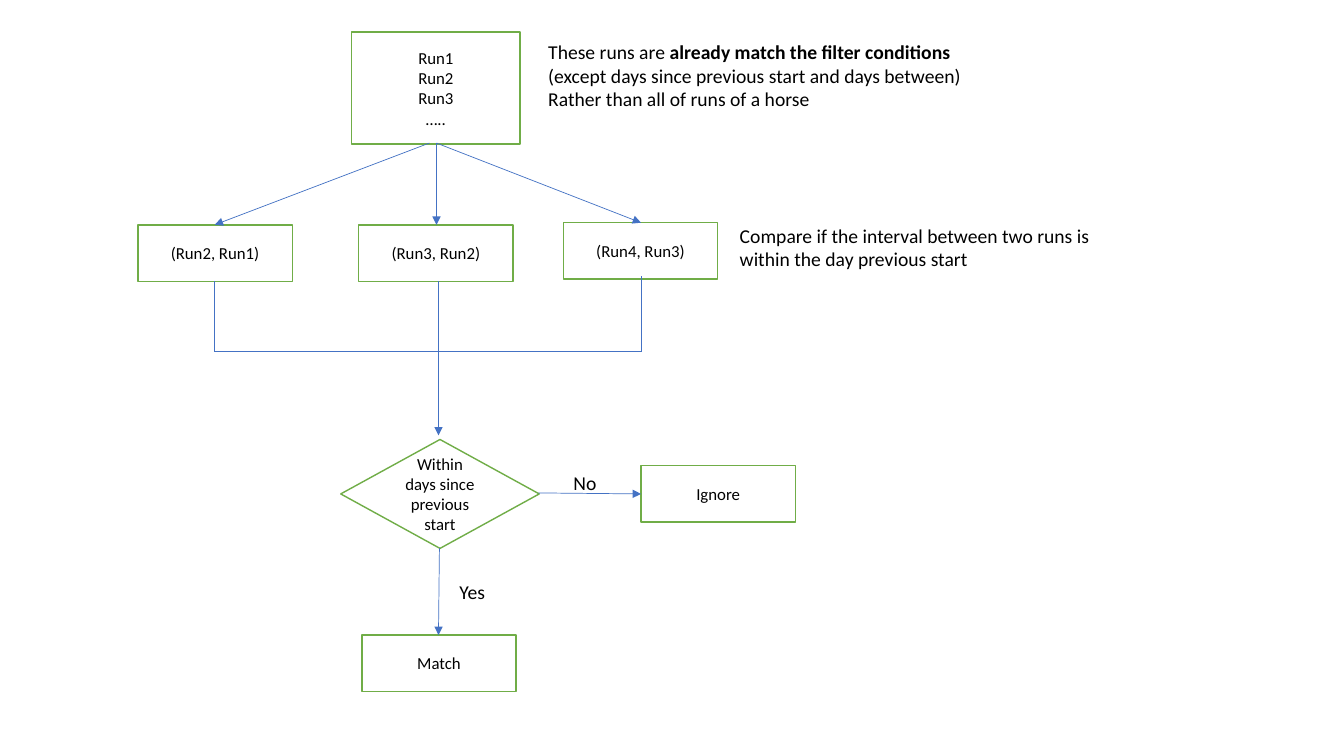
from lxml.etree import SubElement
from pptx import Presentation
from pptx.dml.color import RGBColor
from pptx.enum.shapes import MSO_CONNECTOR as Connector, MSO_SHAPE as Shape
from pptx.enum.text import MSO_ANCHOR as Anchor, PP_ALIGN as Align
from pptx.oxml.ns import qn
from pptx.util import Pt

COLORS = {"paper": "FFFFFF", "border": "70AD47", "arrow": "4472C4", "ink": "000000"}
FONT = "Calibri"
STEP_SIZE = (110.2, 40.3)


def color(name):
    """Return the named colour."""
    return RGBColor.from_string(COLORS[name])


def write(frame, paragraphs, size=14, align=Align.LEFT, anchor=Anchor.TOP):
    """Fill a frame with paragraphs, each a string or a list of (text, bold) runs."""
    frame.word_wrap = True
    frame.vertical_anchor = anchor
    for index, content in enumerate(paragraphs):
        paragraph = frame.paragraphs[0] if index == 0 else frame.add_paragraph()
        paragraph.alignment = align
        runs = [(content, False)] if isinstance(content, str) else content
        for text, bold in runs:
            run = paragraph.add_run()
            run.text = text
            run.font.name = FONT
            run.font.size = Pt(size)
            run.font.bold = bold
            run.font.color.rgb = color("ink")


def add_node(slide, paragraphs, left, top, size=STEP_SIZE, kind=Shape.RECTANGLE):
    """Add an outlined flowchart node with centred text."""
    node = slide.shapes.add_shape(kind, Pt(left), Pt(top), Pt(size[0]), Pt(size[1]))
    node.shadow.inherit = False
    node.fill.solid()
    node.fill.fore_color.rgb = color("paper")
    node.line.color.rgb = color("border")
    node.line.width = Pt(1)
    write(node.text_frame, paragraphs, size=12, align=Align.CENTER, anchor=Anchor.MIDDLE)


def add_note(slide, paragraphs, left, top, width, height):
    """Add a plain text note."""
    note = slide.shapes.add_textbox(Pt(left), Pt(top), Pt(width), Pt(height))
    write(note.text_frame, paragraphs)


def add_link(slide, start, end, arrow=True):
    """Add a thin line, with an arrowhead at its end if wanted."""
    link = slide.shapes.add_connector(Connector.STRAIGHT, *map(Pt, start + end))
    link.line.color.rgb = color("arrow")
    link.line.width = Pt(0.5)
    if arrow:
        SubElement(link.line._get_or_add_ln(), qn("a:tailEnd"), type="triangle")
    SubElement(link._element.spPr, qn("a:effectLst"))


def main():
    """Build the run matching flowchart."""
    deck = Presentation()
    deck.slide_width, deck.slide_height = Pt(960), Pt(540)
    slide = deck.slides.add_slide(deck.slide_layouts[6])

    add_node(slide, ["Run1", "Run2", "Run3", "….."], 251.3, 23, size=(120.2, 79.9))
    add_note(slide, [
        [("These runs are ", False), ("already match the filter conditions ", True),
         ("(except days since previous start and days between)", False)],
        "Rather than all of runs of a horse",
    ], 384.5, 25.2, 342, 58.3)

    join_y = 251.3
    pairs = [
        ("(Run2, Run1)", 98.6, 160.6, 306.7, 153.4, 153.4, 200.9),
        ("(Run3, Run2)", 256.3, 160.6, 311.8, 311.8, 313.2, 200.9),
        ("(Run4, Run3)", 402.5, 159.1, 311.8, 457.9, 457.9, 197.3),
    ]
    for label, left, top, source_x, entry_x, exit_x, exit_y in pairs:
        add_node(slide, [label], left, top)
        add_link(slide, (source_x, 102.2), (entry_x, top))
        add_link(slide, (exit_x, exit_y), (exit_x, join_y), arrow=False)
    add_note(slide, ["Compare if the interval between two runs is within the day previous start"],
             521.3, 156.2, 295.9, 41)
    add_link(slide, (153.4, join_y), (457.9, join_y), arrow=False)
    add_link(slide, (313.2, join_y), (313.2, 311))

    add_node(slide, ["Within days since previous start"], 243.4, 313.9,
             size=(141.8, 77.8), kind=Shape.DIAMOND)
    add_node(slide, ["Match"], 258.5, 453.6)
    add_link(slide, (313.9, 391.7), (313.2, 453.6))
    add_node(slide, ["Ignore"], 457.9, 332.6)
    add_link(slide, (384.5, 352.1), (457.9, 352.8))
    for answer, left, top in [("Yes", 321.1, 410.4), ("No", 402.5, 332.6)]:
        add_note(slide, [answer], left, top, 39.6, 24.5)

    deck.save("out.pptx")


if __name__ == "__main__":
    main()
